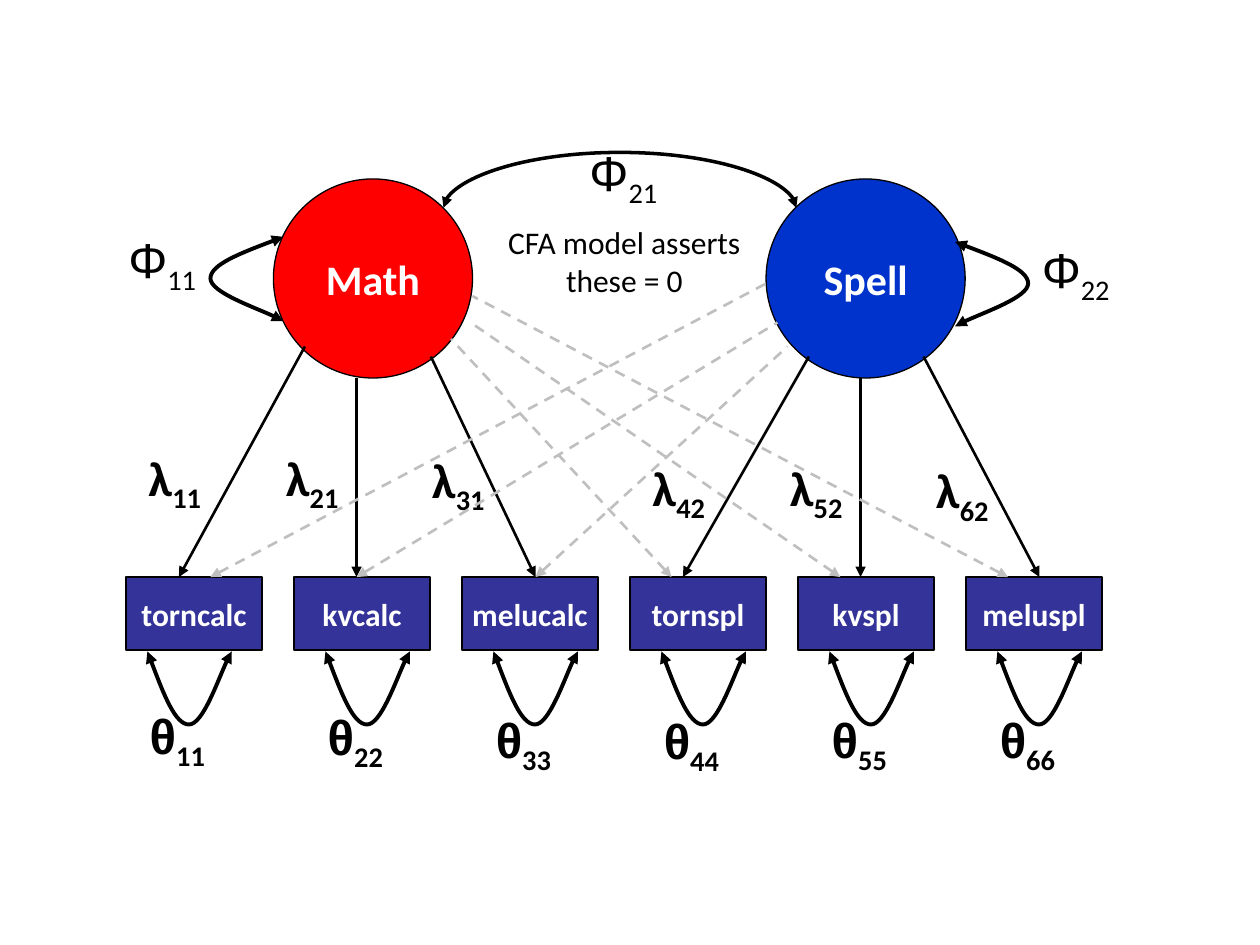
from dataclasses import dataclass

from lxml.etree import SubElement
from pptx import Presentation
from pptx.dml.color import RGBColor
from pptx.enum.dml import MSO_LINE
from pptx.enum.shapes import MSO_CONNECTOR, MSO_SHAPE
from pptx.enum.text import MSO_ANCHOR, PP_ALIGN
from pptx.oxml.ns import qn
from pptx.util import Inches, Pt


@dataclass(frozen=True)
class Theme:
    """Colours, fonts and sizes of the path diagram."""

    ink: str = "000000"
    paper: str = "FFFFFF"
    math: str = "FF0000"
    spell: str = "0033CC"
    measure: str = "333399"
    absent: str = "BFBFBF"
    font: str = "Calibri"
    symbol_font: str = "Arial"
    symbol_size: int = 28
    factor_size: int = 24
    text_size: int = 18
    outline: float = 0.75
    path_width: float = 1.5
    arc_width: float = 2
    loop_width: float = 2.25


class PathDiagram:
    """Draws the elements of a factor model on one slide."""

    def __init__(self, page, theme):
        self.page = page
        self.theme = theme

    def style_font(self, font, size, color, bold=False, name=None):
        """Set the look of a paragraph or run font."""
        font.name = name or self.theme.font
        font.size = Pt(size)
        font.bold = bold
        font.color.rgb = RGBColor.from_string(color)

    def style_line(self, line, color, width, ends=()):
        """Set colour, width and arrowheads of a line."""
        line.color.rgb = RGBColor.from_string(color)
        line.width = Pt(width)
        for end in ends:
            SubElement(line._ln, qn(f"a:{end}"), type="triangle")

    def node(self, kind, text, frame, fill, size):
        """Add an outlined shape with centred bold text."""
        box = self.page.shapes.add_shape(kind, *map(Inches, frame))
        box.shadow.inherit = False
        box.fill.solid()
        box.fill.fore_color.rgb = RGBColor.from_string(fill)
        self.style_line(box.line, self.theme.ink, self.theme.outline)
        box.text_frame.word_wrap = False
        box.text_frame.vertical_anchor = MSO_ANCHOR.MIDDLE
        para = box.text_frame.paragraphs[0]
        para.text = text
        para.alignment = PP_ALIGN.CENTER
        self.style_font(para.font, size, self.theme.paper, bold=True)

    def label(self, symbol, index, left, top, width=0.92, bold=True, name=None):
        """Add a Greek parameter with its subscript."""
        frame = map(Inches, (left, top, width, 0.57))
        box = self.page.shapes.add_textbox(*frame)
        box.text_frame.word_wrap = True
        para = box.text_frame.paragraphs[0]
        for text, font in ((symbol, name), (index, None)):
            span = para.add_run()
            span.text = text
            self.style_font(span.font, self.theme.symbol_size, self.theme.ink, bold, font)
        span._r.get_or_add_rPr().set("baseline", "-25000")

    def note(self, text, frame):
        """Add a centred remark on a plain ground."""
        box = self.page.shapes.add_textbox(*map(Inches, frame))
        box.fill.solid()
        box.fill.fore_color.rgb = RGBColor.from_string(self.theme.paper)
        box.text_frame.word_wrap = True
        para = box.text_frame.paragraphs[0]
        para.text = text
        para.alignment = PP_ALIGN.CENTER
        self.style_font(para.font, self.theme.text_size, self.theme.ink)

    def arrow(self, tip, origin, dashed=False):
        """Add a straight path whose arrowhead sits at the tip."""
        path = self.page.shapes.add_connector(
            MSO_CONNECTOR.STRAIGHT, *map(Inches, (*tip, *origin)))
        if dashed:
            path.line.dash_style = MSO_LINE.DASH
        color = self.theme.absent if dashed else self.theme.ink
        self.style_line(path.line, color, self.theme.path_width, ["headEnd"])
        SubElement(path._element.spPr, qn("a:effectLst"))

    def curve(self, points, width):
        """Add a double-headed Bezier curve through its control points."""
        start, *rest = [(Inches(x), Inches(y)) for x, y in points]
        builder = self.page.shapes.build_freeform(*start)
        builder.add_line_segments(rest, close=False)
        shape = builder.convert_to_shape()
        shape.shadow.inherit = False
        shape.fill.background()
        self.style_line(shape.line, self.theme.ink, width, ["headEnd", "tailEnd"])
        outline = next(shape._element.iter(qn("a:path")))
        segments = outline.findall(qn("a:lnTo"))
        for first in range(0, len(segments), 3):
            bezier = SubElement(outline, qn("a:cubicBezTo"))
            for segment in segments[first:first + 3]:
                bezier.append(segment[0])
                outline.remove(segment)


theme = Theme()
deck = Presentation()
deck.slide_width, deck.slide_height = Inches(10), Inches(7.5)
diagram = PathDiagram(deck.slides.add_slide(deck.slide_layouts[6]), theme)

for name, left, fill in (("Math", 2.17, theme.math), ("Spell", 6.08, theme.spell)):
    diagram.node(MSO_SHAPE.OVAL, name, (left, 1.42, 1.58, 1.58), fill, theme.factor_size)

BOX_TOP = 4.58
loadings = [
    (4.25, 3.42, 2.83), (2.83, 2.83, 3), (1.42, 2.42, 2.75),
    (8.25, 7.33, 2.83), (6.83, 6.83, 3), (5.42, 6.42, 2.83),
]
for tip, x, y in loadings:
    diagram.arrow((tip, BOX_TOP), (x, y))

diagram.curve([(3.52, 1.65), (3.52, 1.43), (4.22, 1.21), (4.92, 1.21),
               (5.62, 1.21), (6.32, 1.43), (6.32, 1.65)], theme.arc_width)

for factor in (1, 2):
    for place, (left, top) in enumerate(((1.08, 3.5), (2.17, 3.5), (3.33, 3.52))):
        row = 3 * (factor - 1) + place + 1
        shift = factor - 1
        diagram.label("λ", f"{row}{factor}", left + 4 * shift, top + 0.08 * shift)

LOOP = [(0, 0), (0.11, 0.29), (0.22, 0.58), (0.33, 0.58),
        (0.44, 0.58), (0.61, 0.09), (0.67, 0)]
measures = ["torncalc", "kvcalc", "melucalc", "tornspl", "kvspl", "meluspl"]
theta_tops = [5.55, 5.56, 5.58, 5.59, 5.58, 5.58]
for place, (measure, theta_top) in enumerate(zip(measures, theta_tops)):
    left = 1 + place * 4 / 3
    loop_left = left + (0.25 if place else 0.17)
    diagram.curve([(loop_left + x, 5.17 + y) for x, y in LOOP], theme.loop_width)
    diagram.label("θ", f"{place + 1}" * 2, loop_left - 0.08, theta_top, 0.83,
                  name=theme.symbol_font)
    diagram.node(MSO_SHAPE.RECTANGLE, measure, (left, BOX_TOP, 1.08, 0.58),
                 theme.measure, theme.text_size)

for left, top, side in ((2.25, 1.88, -1), (7.58, 1.92, 1)):
    diagram.curve([(left + side * y, top + x) for x, y in LOOP], theme.loop_width)

for index, left, top in (("21", 4.58, 1.08), ("11", 0.92, 1.77), ("22", 8.17, 1.85)):
    diagram.label("Φ", index, left, top, bold=False, name=theme.symbol_font)

diagram.note("CFA model asserts these = 0", (3.86, 1.72, 2.19, 0.71))

cross_loadings = [
    (4.25, 6.25, 2.75), (2.83, 6.17, 2.56), (1.67, 6.08, 2.25),
    (5.33, 3.58, 2.69), (6.67, 3.75, 2.57), (8, 3.75, 2.35),
]
for tip, x, y in cross_loadings:
    diagram.arrow((tip, BOX_TOP), (x, y), dashed=True)

deck.save("out.pptx")
